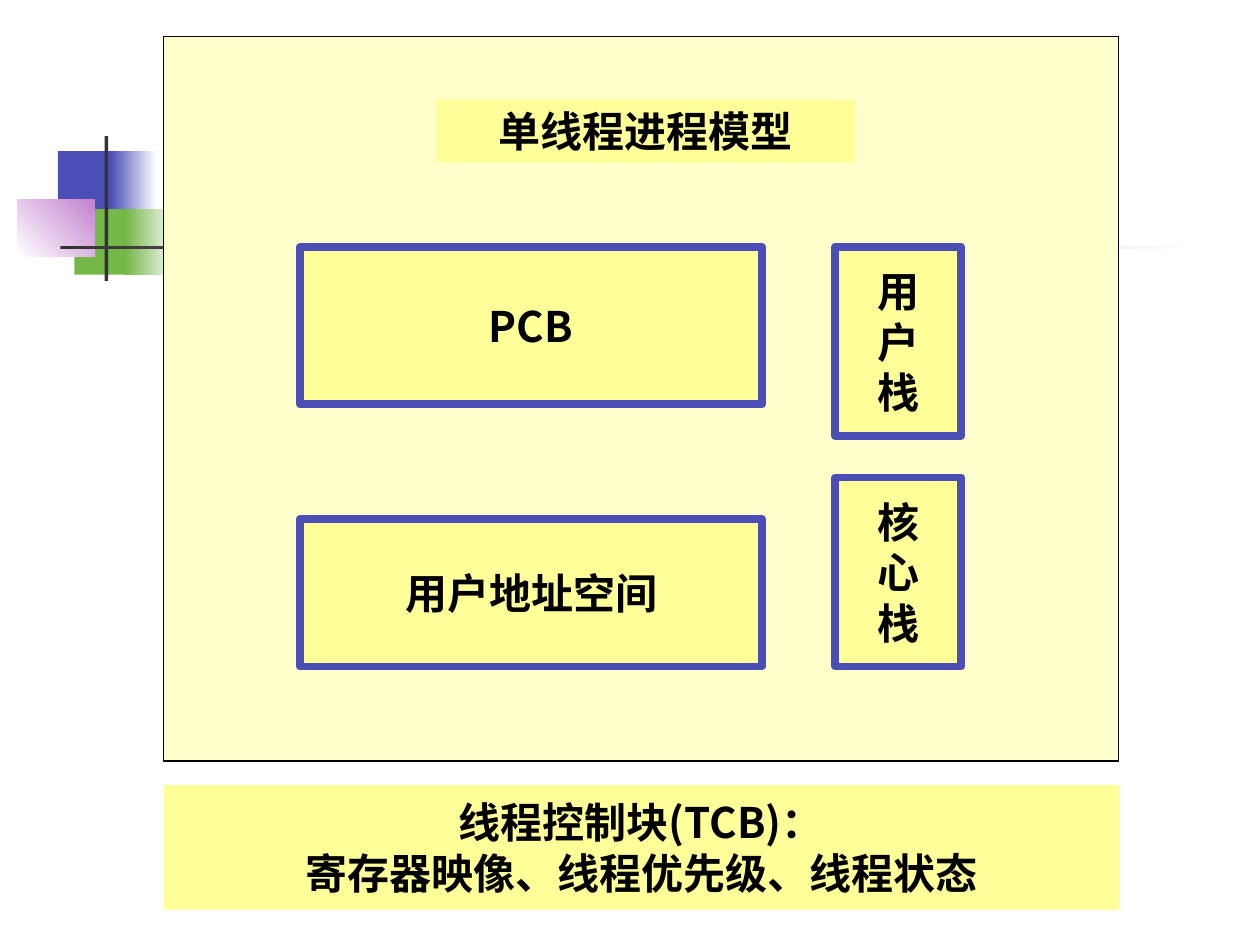
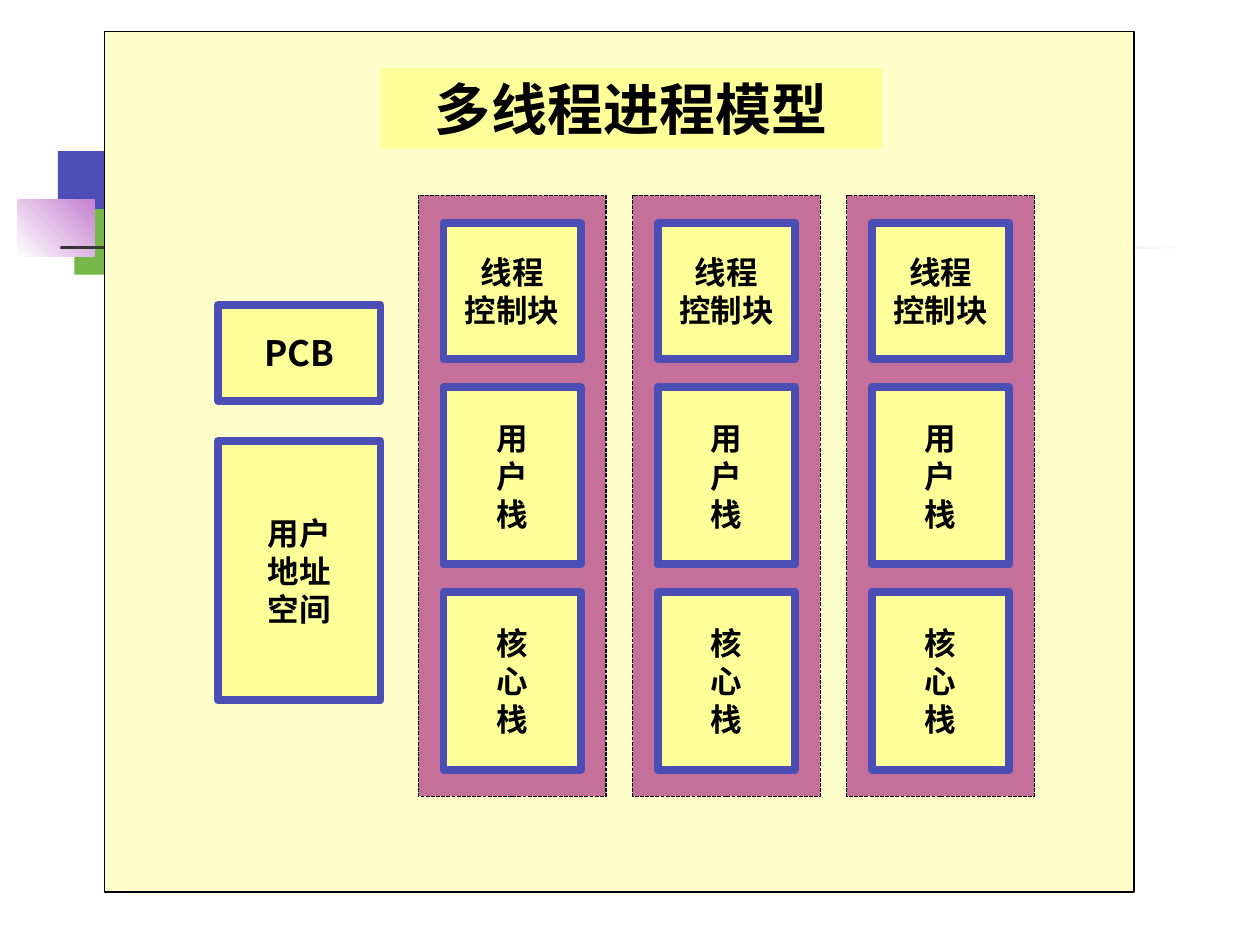
"""Build two slides on single-threaded and multithreaded process models."""
from lxml import etree
from pptx import Presentation
from pptx.dml.color import RGBColor
from pptx.enum.dml import MSO_LINE
from pptx.enum.shapes import MSO_SHAPE
from pptx.enum.text import MSO_ANCHOR, MSO_AUTO_SIZE, PP_ALIGN
from pptx.oxml.ns import qn
from pptx.util import Inches, Pt

BLACK = RGBColor(0x00, 0x00, 0x00)
WHITE = RGBColor(0xFF, 0xFF, 0xFF)
CHARCOAL = RGBColor(0x33, 0x33, 0x33)
BLUE = RGBColor(0x4B, 0x4E, 0xB5)
GREEN = RGBColor(0x76, 0xB7, 0x49)
VIOLET = RGBColor(0xC4, 0x81, 0xCF)
CREAM = RGBColor(0xFF, 0xFF, 0xCC)
YELLOW = RGBColor(0xFF, 0xFF, 0x99)
ROSE = RGBColor(0xC4, 0x70, 0x9A)
FONT = "Noto Sans CJK SC"


def add_block(slide, bounds, fill, border=None, width=0.75):
    """Add a flat rectangle with an optional border."""
    block = slide.shapes.add_shape(MSO_SHAPE.RECTANGLE, *map(Inches, bounds))
    block.shadow.inherit = False
    block.fill.solid()
    block.fill.fore_color.rgb = fill
    if border is None:
        block.line.fill.background()
    else:
        block.line.color.rgb = border
        block.line.width = Pt(width)
    return block


def write_lines(block, lines, size):
    """Write centred bold lines, one paragraph each."""
    frame = block.text_frame
    frame_format = {"word_wrap": True, "auto_size": MSO_AUTO_SIZE.NONE,
                    "vertical_anchor": MSO_ANCHOR.MIDDLE}
    for key, value in frame_format.items():
        setattr(frame, key, value)
    for index, line in enumerate(lines):
        paragraph = frame.add_paragraph() if index else frame.paragraphs[0]
        paragraph.alignment = PP_ALIGN.CENTER
        run = paragraph.add_run()
        run.text = line
        for key, value in {"name": FONT, "size": Pt(size), "bold": True}.items():
            setattr(run.font, key, value)
        run.font.color.rgb = BLACK
        east_asian = etree.SubElement(run._r.get_or_add_rPr(), qn("a:ea"))
        east_asian.set("typeface", FONT)


USER_STACK = ["用", "户", "栈"]
KERNEL_STACK = ["核", "心", "栈"]

models = [
    {"heading": "单线程进程模型", "heading_size": 24,
     "heading_bounds": (3.46, 0.79, 3.33, 0.5),
     "panel": (1.3, 0.29, 7.58, 5.75),
     "parts": [((2.38, 1.96, 3.67, 1.25), ["PCB"], 24),
               ((6.63, 1.96, 1, 1.5), USER_STACK, 24),
               ((2.38, 4.12, 3.67, 1.17), ["用户地址空间"], 24),
               ((6.63, 3.79, 1, 1.5), KERNEL_STACK, 24)]},
    {"heading": "多线程进程模型", "heading_size": 32,
     "heading_bounds": (3.02, 0.54, 3.98, 0.64),
     "panel": (0.83, 0.25, 8.17, 6.83),
     "parts": [((1.73, 2.42, 1.29, 0.76), ["PCB"], 20),
               ((1.73, 3.5, 1.29, 2.06), ["用户", "地址", "空间"], 18)]},
]

prs = Presentation()
prs.slide_width, prs.slide_height = Inches(10), Inches(7.5)
title_only = prs.slide_layouts[5]
slides = [prs.slides.add_slide(title_only) for model in models]
single_slide, multi_slide = slides

ornaments = [
    ((0.46, 1.2, 0.48, 0.52), BLUE, None, 0),
    ((0.88, 1.2, 0.36, 0.52), BLUE, WHITE, 0),
    ((0.59, 1.66, 0.46, 0.52), GREEN, None, 0),
    ((1, 1.66, 0.4, 0.52), GREEN, WHITE, 0),
    ((0.14, 1.58, 0.61, 0.46), WHITE, VIOLET, 45),
    ((0.83, 1.08, 0.03, 1.15), CHARCOAL, None, 0),
    ((0.48, 1.95, 9, 0.03), CHARCOAL, WHITE, 0),
]
for number, (bounds, start, end, angle) in enumerate(ornaments, 20):
    ornament = add_block(single_slide, bounds, start)
    if end is not None:
        ornament.fill.gradient()
        ornament.fill.gradient_angle = angle
        for stop, color in zip(ornament.fill.gradient_stops, (start, end)):
            stop.color.rgb = color
    ornament._element.nvSpPr.cNvPr.set("id", str(number))
    title_only.shapes._spTree.append(ornament._element)

for slide, model in zip(slides, models):
    add_block(slide, model["panel"], CREAM, BLACK)
    heading = slide.shapes.title
    for side, value in zip(("left", "top", "width", "height"), model["heading_bounds"]):
        setattr(heading, side, Inches(value))
    heading.fill.solid()
    heading.fill.fore_color.rgb = YELLOW
    write_lines(heading, [model["heading"]], model["heading_size"])
    slide.shapes._spTree.append(heading._element)
    for bounds, lines, size in model["parts"]:
        write_lines(add_block(slide, bounds, YELLOW, BLUE, 4.5), lines, size)

tcb_note = add_block(single_slide, (1.3, 6.23, 7.58, 0.99), YELLOW)
write_lines(tcb_note, ["线程控制块(TCB)：", "寄存器映像、线程优先级、线程状态"], 24)

thread_parts = [(1.77, 1.08, ["线程", "控制块"]),
                (3.07, 1.41, USER_STACK),
                (4.7, 1.41, KERNEL_STACK)]
for thread in range(3):
    left = 3.32 + 1.7 * thread
    column = add_block(multi_slide, (left, 1.55, 1.49, 4.77), ROSE, BLACK)
    column.line.dash_style = MSO_LINE.SQUARE_DOT
    for top, height, lines in thread_parts:
        part = add_block(multi_slide, (left + 0.2, top, 1.09, height), YELLOW, BLUE, 4.5)
        write_lines(part, lines, 18)

prs.save("out.pptx")
